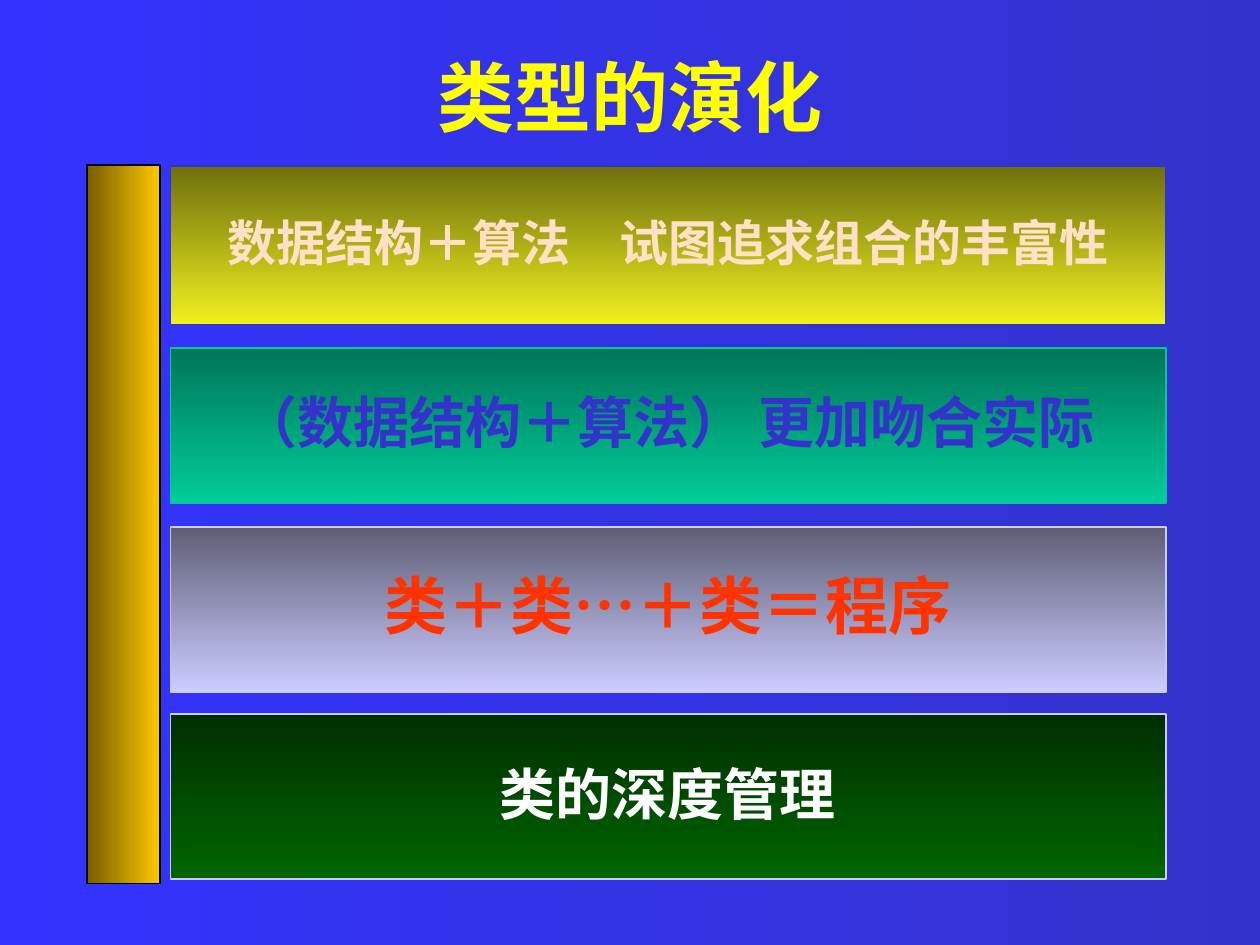
"""Builds the slide on the evolution of types: a side bar beside four gradient bands."""
from dataclasses import dataclass
from typing import Any

from pptx import Presentation
from pptx.dml.color import RGBColor
from pptx.dml.fill import FillFormat
from pptx.enum.shapes import MSO_SHAPE
from pptx.enum.text import MSO_ANCHOR, MSO_AUTO_SIZE, PP_ALIGN
from pptx.oxml.ns import qn
from pptx.shapes.autoshape import Shape
from pptx.slide import Slide
from pptx.text.text import TextFrame
from pptx.util import Pt


@dataclass(frozen=True)
class Theme:
    latin: str = "Arial"
    cjk: str = "Noto Sans CJK SC"
    bg: tuple[str, str] = ("3333FF", "3333CC")
    bar: tuple[str, str] = ("765D00", "FFC800")
    olive: tuple[str, str] = ("6F6F0E", "F0F01E")
    teal: tuple[str, str] = ("007558", "00CC99")
    lilac: tuple[str, str] = ("5E5E76", "CCCCFF")
    forest: tuple[str, str] = ("002F00", "006600")
    yellow: str = "FFFF00"
    black: str = "000000"
    blue: str = "3333CC"
    mint: str = "00CC99"
    pale: str = "CCCCFF"
    peach: str = "FFE2C5"
    red: str = "FF3300"
    white: str = "FFFFFF"
    title: int = 44
    large: int = 36
    medium: int = 32
    small: int = 28


@dataclass(frozen=True)
class Band:
    text: str
    top: float
    height: float
    grad: tuple[str, str]
    line: str
    color: str
    size: int
    font: str


T = Theme()
BAND_LEFT, BAND_WIDTH = 97.4, 568.8
BANDS = [
    Band("数据结构＋算法　试图追求组合的丰富性", 95, 90.5, T.olive, T.blue, T.peach, T.small, T.latin),
    Band("（数据结构＋算法） 更加吻合实际", 198.7, 88.6, T.teal, T.mint, T.blue, T.medium, T.cjk),
    Band("类＋类…＋类＝程序", 301, 94.3, T.lilac, T.pale, T.red, T.large, T.cjk),
    Band("类的深度管理", 408.2, 94.3, T.forest, T.pale, T.white, T.medium, T.cjk),
]


def set_all(obj: Any, formats: dict[str, Any]) -> None:
    """Set each named attribute of an object."""
    for name, value in formats.items():
        setattr(obj, name, value)


def set_gradient(fill: FillFormat, colors: tuple[str, str], angle: int) -> None:
    """Give a fill a two-colour linear gradient."""
    fill.gradient()
    fill.gradient_angle = angle
    for stop, color in zip(fill.gradient_stops, colors):
        stop.color.rgb = RGBColor.from_string(color)


def write(tf: TextFrame, text: str, size: int, color: str, font: str, wrap: bool, spacing: float) -> None:
    """Write one bold, centred line in a text frame."""
    set_all(tf, {"word_wrap": wrap, "auto_size": MSO_AUTO_SIZE.NONE,
                 "vertical_anchor": MSO_ANCHOR.MIDDLE})
    p = tf.paragraphs[0]
    set_all(p, {"alignment": PP_ALIGN.CENTER, "line_spacing": spacing})
    r = p.add_run()
    r.text = text
    set_all(r.font, {"size": Pt(size), "bold": True, "name": font})
    r.font.color.rgb = RGBColor.from_string(color)
    ea = r.font._element.makeelement(qn("a:ea"), {"typeface": T.cjk})
    r.font._element.find(qn("a:latin")).addnext(ea)


def add_box(s: Slide, left: float, top: float, width: float, height: float,
            grad: tuple[str, str], angle: int, line: str, weight: float) -> Shape:
    """Add an outlined gradient rectangle."""
    sp = s.shapes.add_shape(MSO_SHAPE.RECTANGLE, Pt(left), Pt(top), Pt(width), Pt(height))
    sp.shadow.inherit = False
    set_gradient(sp.fill, grad, angle)
    sp.line.color.rgb = RGBColor.from_string(line)
    sp.line.width = Pt(weight)
    return sp


def add_band(s: Slide, band: Band) -> None:
    """Add one band with its label."""
    sp = add_box(s, BAND_LEFT, band.top, BAND_WIDTH, band.height, band.grad, 270, band.line, 1)
    write(sp.text_frame, band.text, band.size, band.color, band.font, False, 0.9)


def main() -> None:
    """Build and save the slide."""
    prs = Presentation()
    set_all(prs, {"slide_width": Pt(720), "slide_height": Pt(540)})
    s = prs.slides.add_slide(prs.slide_layouts[5])
    set_gradient(s.background.fill, T.bg, 0)
    title = s.shapes.title
    set_all(title, {"left": Pt(0), "top": Pt(9.4), "width": Pt(720), "height": Pt(90)})
    write(title.text_frame, "类型的演化", T.title, T.yellow, T.cjk, True, 1.0)
    add_box(s, 49.7, 94.4, 41.8, 410.4, T.bar, 0, T.black, 0.75)
    for band in BANDS:
        add_band(s, band)
    prs.save("out.pptx")


if __name__ == "__main__":
    main()
